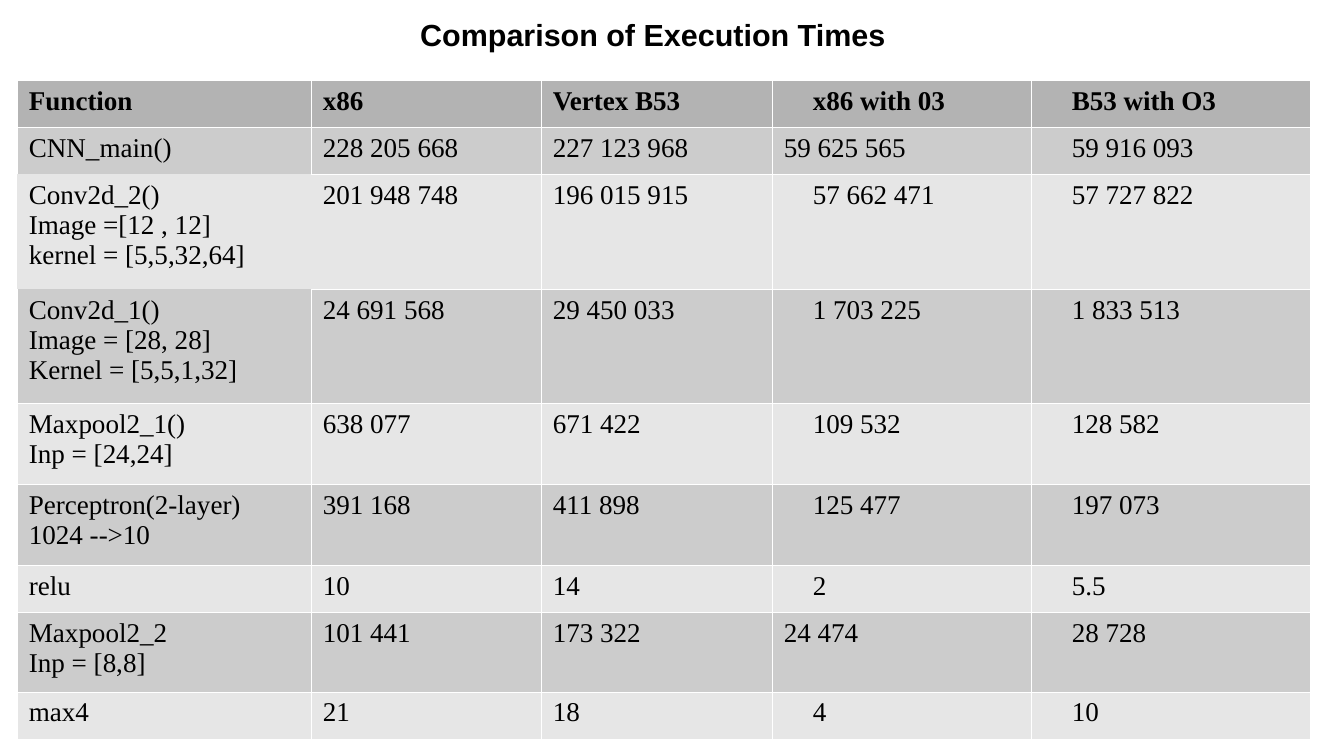
from lxml.etree import SubElement
from pptx import Presentation
from pptx.dml.color import RGBColor
from pptx.enum.text import MSO_ANCHOR, MSO_AUTO_SIZE, PP_ALIGN
from pptx.oxml.ns import qn
from pptx.util import Pt

PX = 914400 / 122
COLORS = {"text": "000000", "header": "B3B3B3", "dark": "CCCCCC", "light": "E6E6E6", "border": "FFFFFF"}
TITLE_FONT = {"name": "Arial", "size": Pt(18), "bold": True}
HEADER_FONT = {"name": "Times New Roman", "size": Pt(16), "bold": True}
BODY_FONT = {**HEADER_FONT, "bold": False}
CELL_FORMAT = {"margin_left": 12, "margin_right": 12, "margin_top": 6, "margin_bottom": 6}
COLUMN_WIDTHS = [294, 230, 231, 259, 279]
ROW_HEIGHTS = [47, 47, 115, 114, 81, 81, 47, 80, 47]
INDENT = 29
INDENTED_COLUMNS = (3, 4)
UNINDENTED_CELLS = [(1, 3), (7, 3)]
OPEN_SIDES = {(1, 0): "B", (2, 0): "LRTB", (2, 1): "L", (3, 0): "T"}
ROWS = [
    ["Function", "x86", "Vertex B53", "x86 with 03", "B53 with O3"],
    ["CNN_main()", "228 205 668", "227 123 968", "59 625 565", "59 916 093"],
    ["Conv2d_2()\nImage =[12 , 12]\nkernel = [5,5,32,64]", "201 948 748", "196 015 915", "57 662 471", "57 727 822"],
    ["Conv2d_1()\nImage = [28, 28]\nKernel = [5,5,1,32]", "24 691 568", "29 450 033", "1 703 225", "1 833 513"],
    ["Maxpool2_1()\nInp = [24,24]", "638 077", "671 422", "109 532", "128 582"],
    ["Perceptron(2-layer)\n1024 -->10", "391 168", "411 898", "125 477", "197 073"],
    ["relu", "10", "14", "2", "5.5"],
    ["Maxpool2_2\nInp = [8,8]", "101 441", "173 322", "24 474", "28 728"],
    ["max4", "21", "18", "4", "10"],
]


def px(length):
    return round(length * PX)


def format_font(font, values):
    for name, value in values.items():
        setattr(font, name, value)
    font.color.rgb = RGBColor.from_string(COLORS["text"])


presentation = Presentation()
presentation.slide_width = px(1344)
presentation.slide_height = px(756)
slide = presentation.slides.add_slide(presentation.slide_layouts[5])

title = slide.shapes.title
for name, value in {"left": 48, "top": -29, "width": 1210, "height": 127}.items():
    setattr(title, name, px(value))
title_frame = title.text_frame
title_frame.text = "Comparison of Execution Times"
for name in CELL_FORMAT:
    setattr(title_frame, name, 0)
title_frame.vertical_anchor = MSO_ANCHOR.MIDDLE
title_frame.auto_size = MSO_AUTO_SIZE.SHAPE_TO_FIT_TEXT
title_frame.paragraphs[0].alignment = PP_ALIGN.CENTER
format_font(title_frame.paragraphs[0].runs[0].font, TITLE_FONT)

table = slide.shapes.add_table(
    len(ROWS), len(COLUMN_WIDTHS), px(17), px(80), px(sum(COLUMN_WIDTHS)), px(sum(ROW_HEIGHTS))
).table
for column, width in zip(table.columns, COLUMN_WIDTHS):
    column.width = px(width)
for row, height in zip(table.rows, ROW_HEIGHTS):
    row.height = px(height)

for row_index, texts in enumerate(ROWS):
    fill = "header" if row_index == 0 else "dark" if row_index % 2 else "light"
    for column_index, text in enumerate(texts):
        position = (row_index, column_index)
        cell = table.cell(*position)
        cell.text = text
        for name, value in CELL_FORMAT.items():
            setattr(cell, name, px(value))
        properties = cell._tc.get_or_add_tcPr()
        for side in "LRTB":
            border = SubElement(properties, qn(f"a:ln{side}"), w="720")
            if side in OPEN_SIDES.get(position, ""):
                SubElement(border, qn("a:noFill"))
            else:
                SubElement(SubElement(border, qn("a:solidFill")), qn("a:srgbClr"), val=COLORS["border"])
        cell.fill.solid()
        cell.fill.fore_color.rgb = RGBColor.from_string(COLORS[fill])
        for paragraph in cell.text_frame.paragraphs:
            if column_index in INDENTED_COLUMNS and position not in UNINDENTED_CELLS:
                paragraph._p.get_or_add_pPr().set("marL", str(px(INDENT)))
            format_font(paragraph.runs[0].font, BODY_FONT if row_index else HEADER_FONT)

presentation.save("out.pptx")
